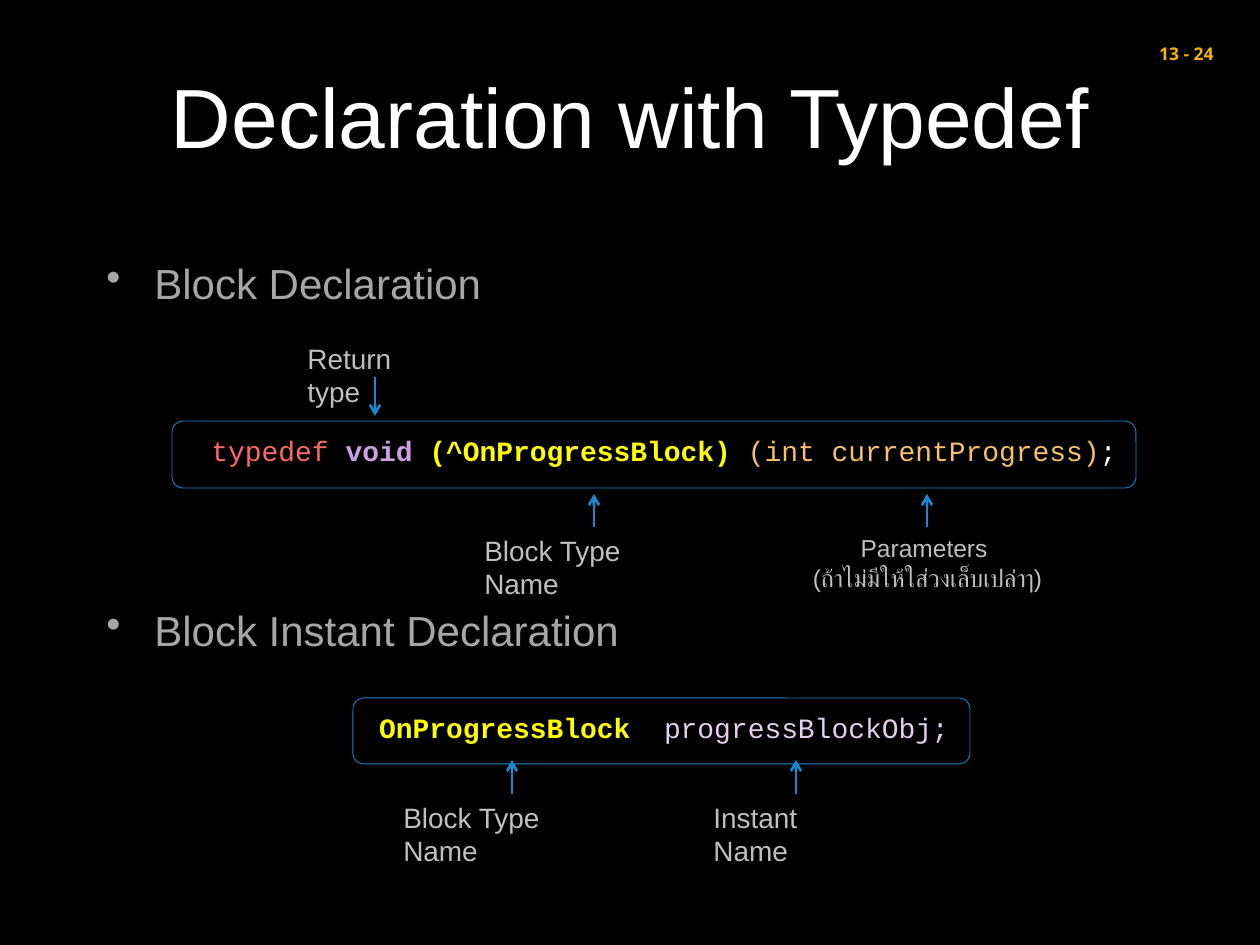
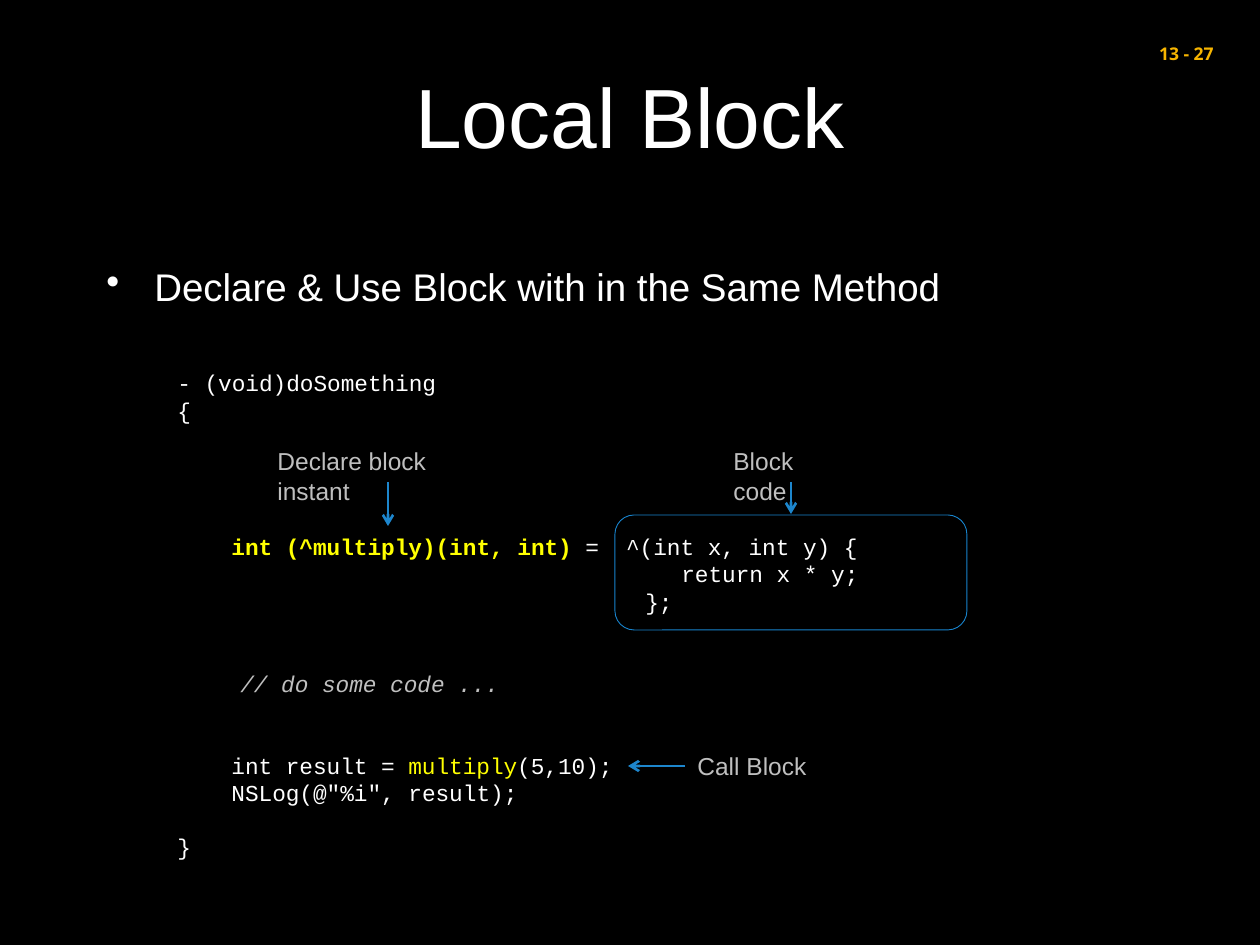
"""Build two slides about declaring and using blocks."""
from dataclasses import dataclass

import pptx
import pptx.dml.color
import pptx.enum.shapes
import pptx.enum.text
import pptx.oxml.ns
import pptx.util
from lxml import etree

EMU_PER_PIXEL = 914400 // 126
LINE_HEIGHT = 1.2  # line pitch as a multiple of the font size
ALIGN = pptx.enum.text.PP_ALIGN
ANCHOR = pptx.enum.text.MSO_ANCHOR
SHAPE = pptx.enum.shapes.MSO_SHAPE

BLACK, WHITE, YELLOW = "000000", "FFFFFF", "FFFF00"
LABEL_GREY, BULLET_GREY = "BFBFBF", "A6A6A6"
ARROW_BLUE, FRAME_BLUE, PAGE_GOLD = "1D86CD", "1884CD", "F7B500"
SANS, MONO, NUMBER_FONT = "Arial", "Courier New", "Open Sans"


@dataclass
class Span:
    """A piece of text in one colour and style."""
    text: str
    color: str = WHITE
    bold: bool = False
    italic: bool = False


@dataclass
class Line:
    """A paragraph: its spans, indent in pixels and space before in points."""
    spans: list[Span]
    indent: int = 0
    before: float = 0
    bullet: bool = False


@dataclass
class Style:
    """What all the text of one box shares."""
    size: int
    font: str = SANS
    align: ALIGN = ALIGN.LEFT
    anchor: ANCHOR = ANCHOR.TOP
    spacing: float = LINE_HEIGHT


@dataclass
class Label:
    """A grey caption, one entry of rows for each forced line."""
    left: int
    top: int
    width: int
    rows: list[str]
    size: int
    align: ALIGN = ALIGN.LEFT


@dataclass
class Arrow:
    """An arrow from (x1, y1) to (x2, y2)."""
    x1: int
    y1: int
    x2: int
    y2: int


def px(pixels: float) -> int:
    """Turn pixels into EMU."""
    return int(pixels * EMU_PER_PIXEL)


def rgb(color: str) -> pptx.dml.color.RGBColor:
    """Turn a hex string into a colour."""
    return pptx.dml.color.RGBColor.from_string(color)


def add_bullet(para) -> None:
    """Give a paragraph a hanging round bullet."""
    properties = para._p.get_or_add_pPr()
    properties.set("marL", str(px(48)))
    properties.set("indent", str(px(-48)))
    bullet = etree.SubElement(properties, pptx.oxml.ns.qn("a:buChar"))
    bullet.set("char", "\u2022")


def add_span(para, span: Span, style: Style) -> None:
    """Add one run to a paragraph."""
    run = para.add_run()
    run.text = span.text
    run.font.size = pptx.util.Pt(style.size)
    run.font.name = style.font
    run.font.bold = span.bold
    run.font.italic = span.italic
    run.font.color.rgb = rgb(span.color)


def add_text(page, left: int, top: int, width: int, height: int,
             lines: list[Line], style: Style):
    """Add a text box with one paragraph for each line."""
    box = page.shapes.add_textbox(px(left), px(top), px(width), px(height))
    frame = box.text_frame
    frame.word_wrap = True
    frame.vertical_anchor = style.anchor
    for number, line in enumerate(lines):
        para = frame.add_paragraph() if number else frame.paragraphs[0]
        para.alignment = style.align
        if style.spacing:
            para.line_spacing = pptx.util.Pt(round(style.size * style.spacing, 2))
        para.space_before = pptx.util.Pt(line.before)
        if line.bullet:
            add_bullet(para)
        elif line.indent:
            para._p.get_or_add_pPr().set("marL", str(px(line.indent)))
        for span in line.spans:
            add_span(para, span, style)
    return box


def add_label(page, label: Label) -> None:
    """Add a caption beside the code."""
    lines = [Line([Span(row, LABEL_GREY)]) for row in label.rows]
    add_text(page, label.left, label.top, label.width, 46, lines,
             Style(label.size, align=label.align))


def add_arrow(page, arrow: Arrow) -> None:
    """Add a blue arrow with an open head at its end."""
    connector = page.shapes.add_connector(
        pptx.enum.shapes.MSO_CONNECTOR.STRAIGHT,
        px(arrow.x1), px(arrow.y1), px(arrow.x2), px(arrow.y2))
    connector.line.color.rgb = rgb(ARROW_BLUE)
    connector.line.width = pptx.util.Pt(1.5)
    head = etree.SubElement(connector.line._get_or_add_ln(),
                            pptx.oxml.ns.qn("a:tailEnd"))
    head.set("type", "arrow")
    etree.SubElement(connector._element.spPr, pptx.oxml.ns.qn("a:effectLst"))


def add_frame(page, left: int, top: int, width: int, height: int) -> None:
    """Add a thin rounded outline around code."""
    frame = page.shapes.add_shape(SHAPE.ROUNDED_RECTANGLE, px(left), px(top),
                                  px(width), px(height))
    frame.shadow.inherit = False
    frame.fill.background()
    frame.line.color.rgb = rgb(FRAME_BLUE)
    frame.line.width = pptx.util.Pt(0.5)


def add_page(deck, title: str, number: str):
    """Add a black page with its title and page number."""
    page = deck.slides.add_slide(deck.slide_layouts[6])
    page.background.fill.solid()
    page.background.fill.fore_color.rgb = rgb(BLACK)
    add_text(page, 94, 16, 1072, 197, [Line([Span(title)])],
             Style(48, align=ALIGN.CENTER, anchor=ANCHOR.MIDDLE))
    add_text(page, 1097, 37, 129, 34,
             [Line([Span(number, PAGE_GOLD, bold=True)])],
             Style(10, NUMBER_FONT, ALIGN.RIGHT, spacing=0))
    return page


def add_notes_on_code(page, labels: list[Label], arrows: list[Arrow]) -> None:
    """Add the captions and arrows that explain the code."""
    for label in labels:
        add_label(page, label)
    for arrow in arrows:
        add_arrow(page, arrow)


def build_typedef_page(deck) -> None:
    """Build the page on declaring a block type."""
    page = add_page(deck, "Declaration with Typedef", "13 - 24")
    add_text(page, 94, 241, 1072, 603, [
        Line([Span("Block Declaration", BULLET_GREY)], bullet=True),
        Line([Span("Block Instant Declaration", BULLET_GREY)],
             before=163.7, bullet=True),
    ], Style(24, spacing=1.44))

    code = Style(16, MONO, ALIGN.CENTER)
    add_text(page, 156, 427, 1016, 46, [Line([
        Span("typedef ", "FF6868"),
        Span("void ", "CAA0E2", bold=True),
        Span("(^OnProgressBlock) ", YELLOW, bold=True),
        Span("(int currentProgress)", "F6C16A"),
        Span(";"),
    ])], code)
    add_text(page, 156, 704, 1016, 46, [Line([
        Span("OnProgressBlock  ", YELLOW, bold=True),
        Span("progressBlockObj;", "E5CFF1"),
    ])], code)
    add_notes_on_code(page, [
        Label(295, 335, 156, ["Return type"], 16),
        Label(472, 527, 230, ["Block Type Name"], 16),
        Label(780, 527, 295, ["Parameters ", "(ถ้าไม่มีให้ใส่วงเล็บเปล่าๅ)"],
              14, ALIGN.CENTER),
        Label(391, 794, 230, ["Block Type Name"], 16),
        Label(701, 794, 180, ["Instant Name"], 16),
    ], [
        Arrow(375, 377, 375, 416),
        Arrow(594, 527, 594, 494),
        Arrow(927, 527, 927, 494),
        Arrow(512, 794, 512, 760),
        Arrow(796, 794, 796, 760),
    ])
    add_frame(page, 172, 421, 964, 67)
    add_frame(page, 353, 698, 617, 66)


def build_local_page(deck) -> None:
    """Build the page on a block used inside one method."""
    page = add_page(deck, "Local Block", "13 - 27")
    add_text(page, 94, 257, 1072, 59, [
        Line([Span("Declare & Use Block with in the Same Method")],
             bullet=True)], Style(22))

    code = Style(13, MONO)
    row = code.size * LINE_HEIGHT
    step = 54
    add_text(page, 165, 363, 916, 509, [
        Line([Span("- (void)doSomething")]),
        Line([Span("{")]),
        Line([Span("int (^multiply)(int, int) ", YELLOW, bold=True),
              Span("=  ^(int x, int y) {")], step, 4 * row),
        Line([Span("return x * y;")], 504),
        Line([Span("};")], 468),
        Line([Span("// do some code ...", LABEL_GREY, italic=True)],
             63, 2 * row),
        Line([Span("int result = "), Span("multiply", YELLOW),
              Span("(5,10);")], step, 2 * row),
        Line([Span('NSLog(@"%i", result);')], step),
        Line([Span("}")], before=row),
    ], code)
    add_frame(page, 615, 515, 352, 115)
    add_notes_on_code(page, [
        Label(265, 440, 236, ["Declare block instant"], 14),
        Label(721, 440, 132, ["Block code"], 14),
        Label(685, 745, 145, ["Call Block"], 14),
    ], [
        Arrow(388, 482, 388, 526),
        Arrow(791, 482, 791, 514),
        Arrow(685, 766, 628, 766),
    ])


def main() -> None:
    """Build and save the deck."""
    deck = pptx.Presentation()
    deck.slide_width = pptx.util.Inches(10)
    deck.slide_height = pptx.util.Inches(7.5)
    build_typedef_page(deck)
    build_local_page(deck)
    deck.save("out.pptx")


main()
